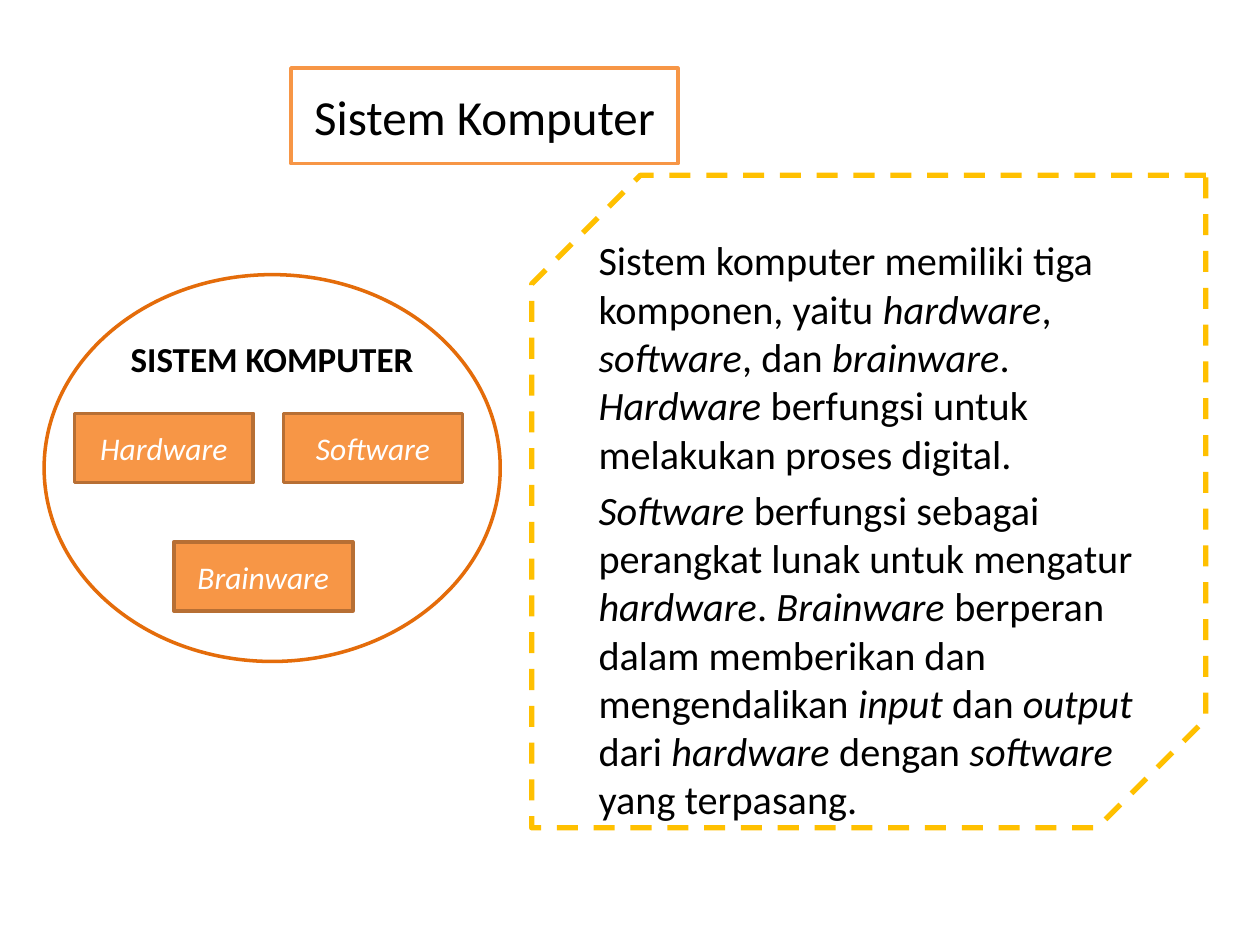
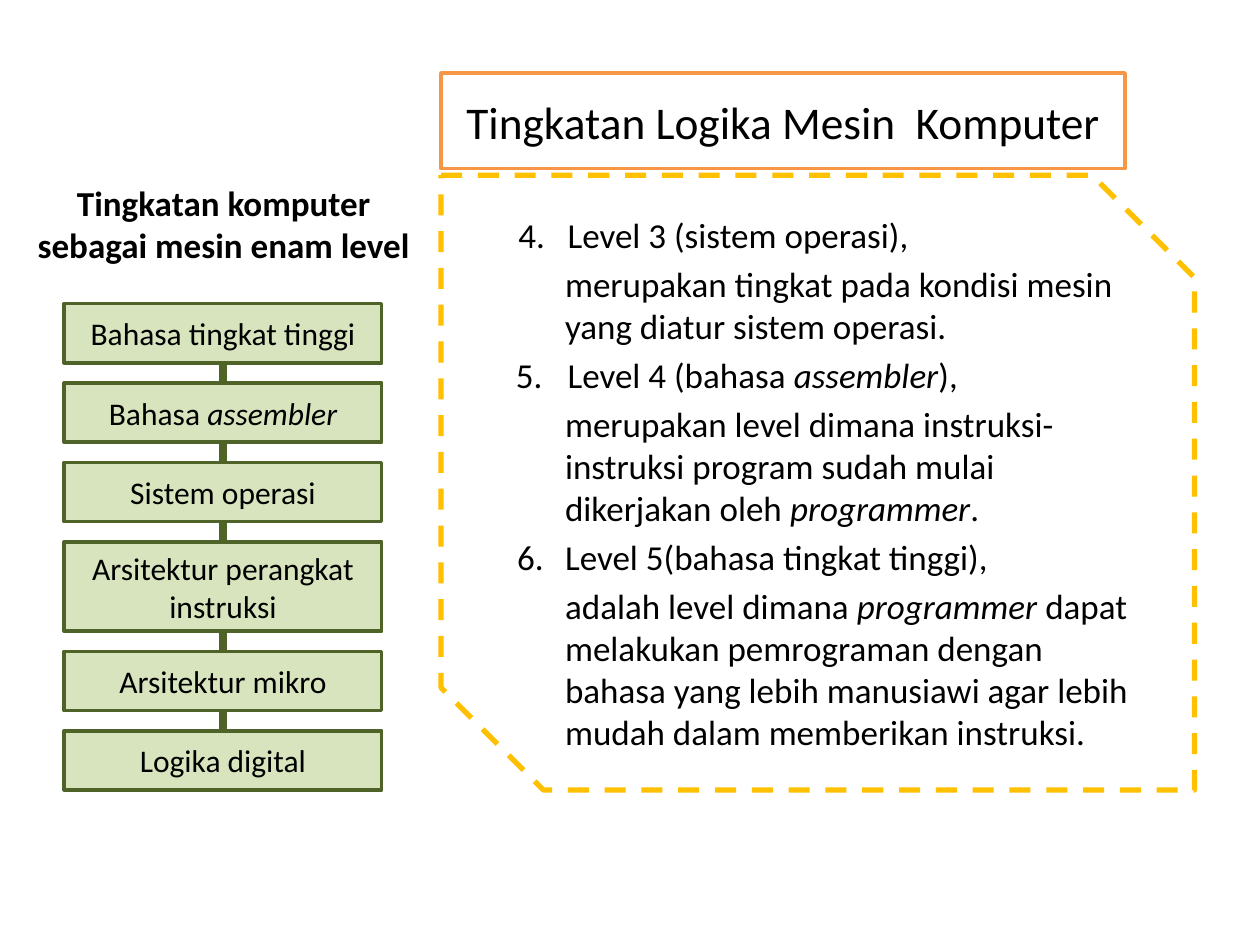
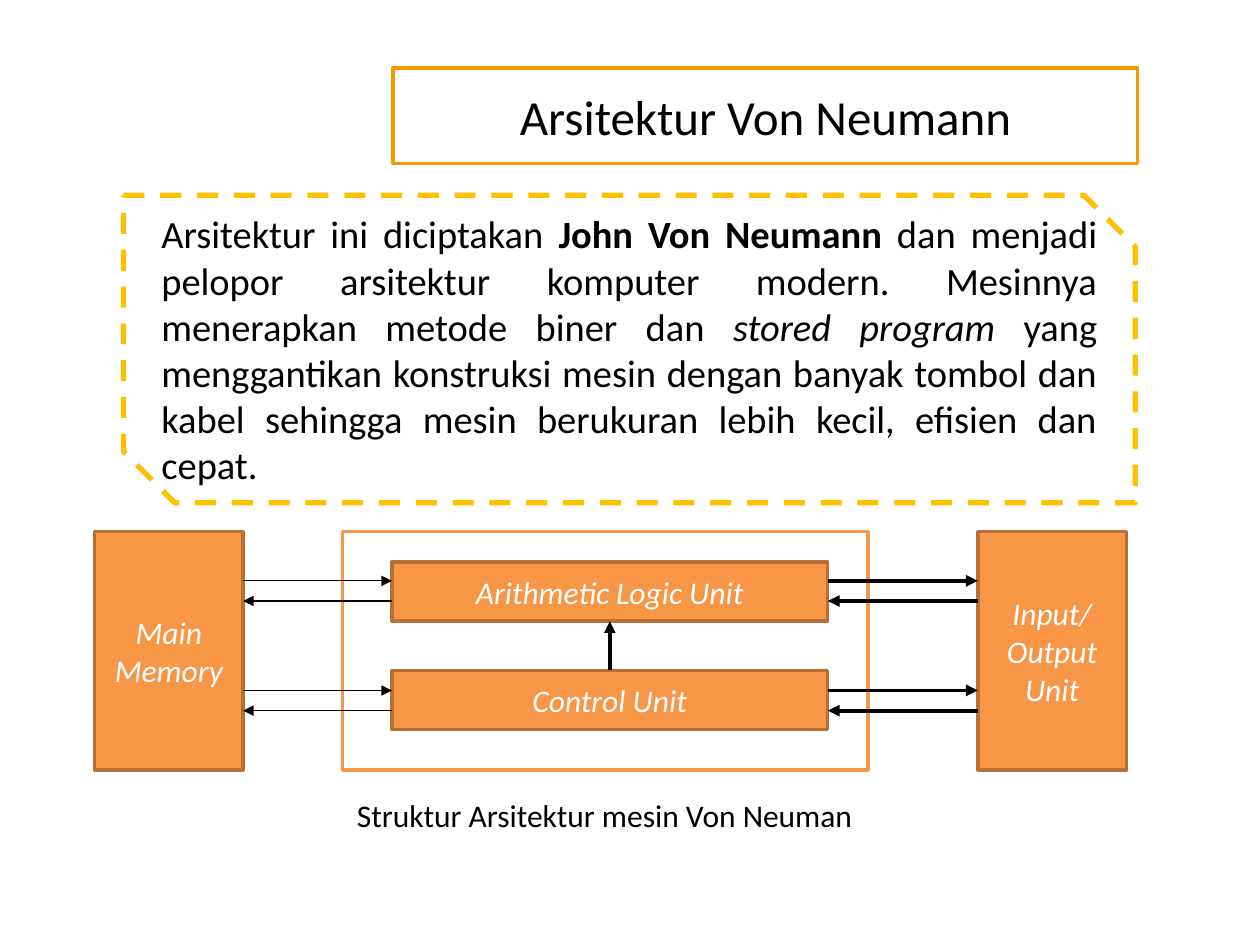
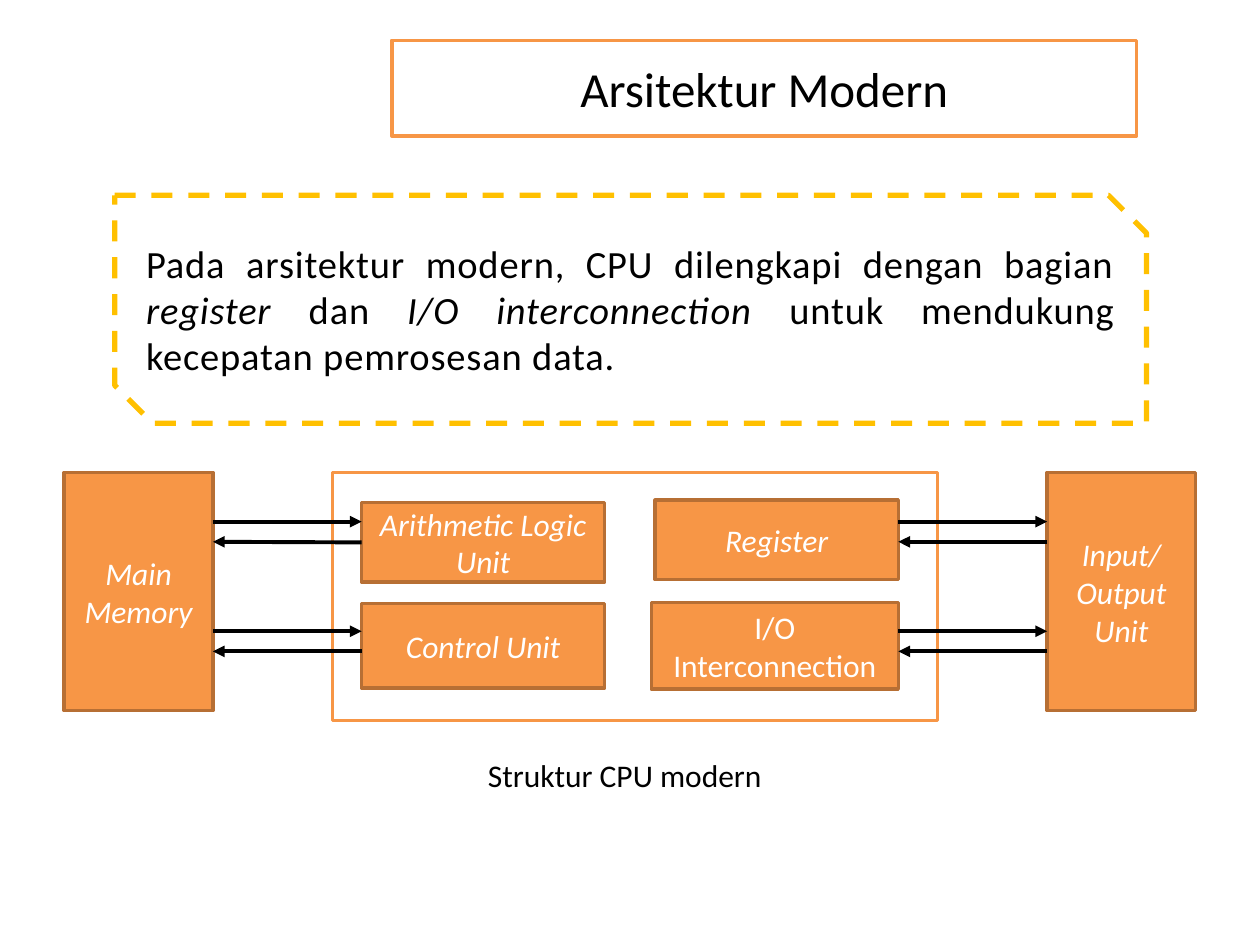
from lxml.etree import SubElement
from pptx import Presentation
from pptx.dml.color import RGBColor
from pptx.enum.dml import MSO_LINE_DASH_STYLE as Dash
from pptx.enum.shapes import MSO_CONNECTOR, MSO_SHAPE as Shape
from pptx.enum.text import MSO_ANCHOR as Anchor, MSO_AUTO_SIZE as AutoSize, PP_ALIGN as Align
from pptx.oxml.ns import qn
from pptx.util import Inches, Pt

# Shared look
FONT = "Calibri"
BLACK = RGBColor(0x00, 0x00, 0x00)
WHITE = RGBColor(0xFF, 0xFF, 0xFF)
ORANGE = RGBColor(0xF7, 0x96, 0x46)
AMBER = RGBColor(0xF4, 0x99, 0x00)
BROWN = RGBColor(0xB7, 0x6F, 0x34)
RUST = RGBColor(0xE4, 0x6C, 0x0A)
GOLD = RGBColor(0xFF, 0xC0, 0x00)
LIGHT_GREEN = RGBColor(0xD7, 0xE4, 0xBD)
DARK_GREEN = RGBColor(0x4F, 0x62, 0x28)

TITLE = dict(fill=WHITE, line=ORANGE, size=28, before=0.2)
PANEL = dict(kind=Shape.SNIP_2_DIAG_RECTANGLE, line=GOLD, weight=3, dash=Dash.DASH, before=0.2)
BLOCK = dict(fill=ORANGE, line=BROWN, color=WHITE)
FRAME = dict(fill=WHITE, line=ORANGE)
LEVEL = dict(fill=LIGHT_GREEN, line=DARK_GREEN)

# Content: *italic*, _bold_
SYSTEM_TEXT = [
    "Sistem komputer memiliki tiga komponen, yaitu *hardware*, *software*, dan *brainware*. "
    "*Hardware *berfungsi untuk melakukan proses digital.",
    "*Software *berfungsi sebagai perangkat lunak untuk mengatur *hardware*. "
    "*Brainware *berperan dalam memberikan dan mengendalikan *input *dan *output *"
    "dari *hardware *dengan *software* yang terpasang.",
]
PARTS = [("*Hardware*", 0.59, 3.28), ("*Software*", 2.25, 3.28), ("*Brainware*", 1.38, 4.3)]

# Level text: (text, left margin, first-line indent, number)
LEVEL_TEXT = [
    ("Level 3 (sistem operasi),", 0.5, -0.39, 4),
    ("merupakan tingkat pada kondisi mesin yang diatur sistem operasi.", 0.48, 0, None),
    ("Level 4 (bahasa *assembler*),", 0.5, -0.41, 5),
    ("merupakan level dimana instruksi-instruksi program sudah mulai dikerjakan oleh "
     "*programmer*.", 0.48, 0, None),
    ("Level 5(bahasa tingkat tinggi),", 0.48, -0.38, 6),
    ("adalah level dimana *programmer *dapat melakukan pemrograman dengan bahasa yang "
     "lebih manusiawi agar lebih mudah dalam memberikan instruksi.", 0.48, 0, None),
]
LEVELS = [  # (label, height)
    ("Bahasa tingkat tinggi", 0.47), ("Bahasa *assembler*", 0.47), ("Sistem operasi", 0.47),
    ("Arsitektur perangkat instruksi", 0.71), ("Arsitektur mikro", 0.47),
    ("Logika digital", 0.47),
]

ARCHITECTURES = [
    dict(
        title=("Arsitektur Von Neumann", (3.12, 0.54, 5.91, 0.76), AMBER),
        text="Arsitektur ini diciptakan _John Von Neumann _dan menjadi pelopor arsitektur "
             "komputer modern. Mesinnya menerapkan metode biner dan *stored program* yang "
             "menggantikan konstruksi mesin dengan banyak tombol dan kabel sehingga mesin "
             "berukuran lebih kecil, efisien dan cepat.",
        panel=(0.98, 1.55, 8.03, 2.44), spacing=0,
        frame=(2.72, 4.22, 4.17, 1.89),
        blocks=[
            ("*Main Memory*", (0.75, 4.22, 1.18, 1.89)),
            ("*Input/ Output Unit*", (7.76, 4.22, 1.18, 1.89)),
            ("*Arithmetic Logic Unit*", (3.11, 4.46, 3.46, 0.47)),
            ("*Control Unit*", (3.11, 5.32, 3.46, 0.47)),
        ],
        rows=(4.61, 5.48), gaps=[(1.93, 3.11, 0.75), (6.57, 7.76, 2.25)],
        single=[((4.84, 5.32), (4.84, 4.93), 2.25)],
        caption=("Struktur Arsitektur mesin Von Neuman", (2.32, 6.27, 4.96, 0.4)),
    ),
    dict(
        title=("Arsitektur Modern", (3.11, 0.32, 5.91, 0.76), ORANGE),
        text="Pada arsitektur modern, CPU dilengkapi dengan bagian *register *dan "
             "*I/O interconnection *untuk mendukung kecepatan pemrosesan data.",
        panel=(0.91, 1.55, 8.19, 1.81), spacing=0.5,
        frame=(2.64, 3.75, 4.8, 1.97),
        blocks=[
            ("*Main Memory*", (0.51, 3.75, 1.18, 1.89)),
            ("*Input/ Output Unit*", (8.31, 3.75, 1.18, 1.89)),
            ("*Arithmetic Logic Unit*", (2.87, 3.99, 1.93, 0.63)),
            ("*Control Unit*", (2.87, 4.79, 1.93, 0.67)),
            ("*Register*", (5.2, 3.97, 1.93, 0.63)),
            ("I/O Interconnection", (5.17, 4.78, 1.96, 0.69)),
        ],
        rows=(4.14, 5.01), gaps=[(1.69, 2.87, 2.25), (7.13, 8.31, 2.25)],
        single=[],
        caption=("Struktur CPU modern", (2.48, 5.95, 4.96, 0.4)),
    ),
]
LANE = 0.16  # distance between the two arrows of a pair


def write(frame, texts, size=18, color=BLACK, align=Align.CENTER, anchor=Anchor.MIDDLE,
          before=0, spacing=0):
    """Fill a text frame; texts are strings or (text, margin, indent, number)."""
    frame.word_wrap = True
    frame.vertical_anchor = anchor
    for index, entry in enumerate(texts):
        text, margin, indent, number = (entry, 0, 0, None) if isinstance(entry, str) else entry
        para = frame.add_paragraph() if index else frame.paragraphs[0]
        para.alignment = align
        if before:
            para.space_before = Pt(round(before * size, 1))
        properties = para._p.get_or_add_pPr()
        properties.set("marL", str(Inches(margin)))
        properties.set("indent", str(Inches(indent)))
        if number:
            SubElement(properties, qn("a:buAutoNum"), type="arabicPeriod", startAt=str(number))
        for i, piece in enumerate(text.split("*")):
            for j, words in enumerate(piece.split("_")):
                if not words:
                    continue
                span = para.add_run()
                span.text = words
                looks = dict(name=FONT, size=Pt(size), italic=i % 2 == 1, bold=j % 2 == 1)
                for name, value in looks.items():
                    setattr(span.font, name, value)
                span.font.color.rgb = color
                if spacing:
                    span._r.get_or_add_rPr().set("spc", str(round(spacing * 100)))


def add_box(page, place, texts=(), kind=Shape.RECTANGLE, fill=None, line=BLACK, weight=2,
            dash=None, **text_format):
    box = page.shapes.add_shape(kind, *map(Inches, place))
    box.shadow.inherit = False
    if fill is None:
        box.fill.background()
    else:
        box.fill.solid()
        box.fill.fore_color.rgb = fill
    box.line.color.rgb = line
    box.line.width = Pt(weight)
    if dash:
        box.line.dash_style = dash
    write(box.text_frame, texts, **text_format)
    return box


def add_label(page, place, text, **text_format):
    label = page.shapes.add_textbox(*map(Inches, place))
    write(label.text_frame, [text], anchor=Anchor.TOP, **text_format)
    label.text_frame.auto_size = AutoSize.SHAPE_TO_FIT_TEXT


def add_line(page, start, end, weight, color=BLACK, arrow=True):
    line = page.shapes.add_connector(MSO_CONNECTOR.STRAIGHT, *map(Inches, start + end))
    line.line.color.rgb = color
    line.line.width = Pt(weight)
    properties = line._element.spPr
    if arrow:
        SubElement(properties.find(qn("a:ln")), qn("a:tailEnd"), type="triangle")
    SubElement(properties, qn("a:effectLst"))
    return line


def join(line, start, end, boxes):
    """Attach the line's ends that lie at the middle of a box side."""
    for box, (left, top, width, height) in boxes:
        middles = [(left + width / 2, top), (left, top + height / 2),
                   (left + width / 2, top + height), (left + width, top + height / 2)]
        for site, (x, y) in enumerate(middles):
            for point, connect in ((start, line.begin_connect), (end, line.end_connect)):
                if abs(point[0] - x) < 0.01 and abs(point[1] - y) < 0.01:
                    connect(box, site)


def build_system(page):
    add_box(page, (2.31, 0.54, 3.07, 0.76), ["Sistem Komputer"], **TITLE)
    panel = add_box(page, (4.22, 1.39, 5.35, 5.18), SYSTEM_TEXT, size=23, align=Align.LEFT,
                    anchor=Anchor.TOP, **PANEL)
    panel._element.spPr.find(qn("a:xfrm")).set("flipH", "1")
    add_box(page, (0.35, 2.18, 3.62, 3.07), ["_SISTEM KOMPUTER_"], kind=Shape.OVAL, fill=WHITE,
            line=RUST, size=20, anchor=Anchor.TOP)
    for label, left, top in PARTS:
        add_box(page, (left, top, 1.42, 0.55), [label], **BLOCK)


def build_levels(page):
    add_box(page, (3.5, 0.58, 5.43, 0.76), ["Tingkatan Logika Mesin  Komputer"],
            **{**TITLE, "size": 25.9})
    add_box(page, (3.5, 1.39, 5.98, 4.88), LEVEL_TEXT, size=20, align=Align.LEFT, **PANEL)
    # The spine lies behind the stacked levels
    spine = add_line(page, (1.77, 2.57), (1.77, 6.27), 4.5, DARK_GREEN, arrow=False)
    top, gap = 2.41, 0.16
    for label, height in LEVELS:
        level = add_box(page, (0.51, top, 2.52, height), [label], **LEVEL)
        top += height + gap
    spine.end_connect(level, 2)
    add_label(page, (0.2, 1.39, 3.15, 0.77), "_Tingkatan komputer sebagai mesin enam level_",
              size=20)


def build_architecture(page, design):
    title, place, outline = design["title"]
    add_box(page, place, [title], **{**TITLE, "line": outline})
    add_box(page, design["panel"], [design["text"]], size=22, align=Align.JUSTIFY,
            spacing=design["spacing"], **PANEL)
    add_box(page, design["frame"], **FRAME)
    boxes = [(add_box(page, spot, [label], **BLOCK), spot) for label, spot in design["blocks"]]
    # Each pair: upper arrow to the right, lower arrow to the left
    arrows = list(design["single"])
    for left, right, weight in design["gaps"]:
        for y in design["rows"]:
            arrows += [((right, y + LANE), (left, y + LANE), weight),
                       ((left, y), (right, y), weight)]
    for start, end, weight in arrows:
        join(add_line(page, start, end, weight), start, end, boxes)
    caption, place = design["caption"]
    add_label(page, place, caption)


def main():
    deck = Presentation()
    deck.slide_width, deck.slide_height = Inches(10), Inches(7.5)
    blank = deck.slide_layouts[6]
    build_system(deck.slides.add_slide(blank))
    build_levels(deck.slides.add_slide(blank))
    for design in ARCHITECTURES:
        build_architecture(deck.slides.add_slide(blank), design)
    deck.save("out.pptx")


if __name__ == "__main__":
    main()
